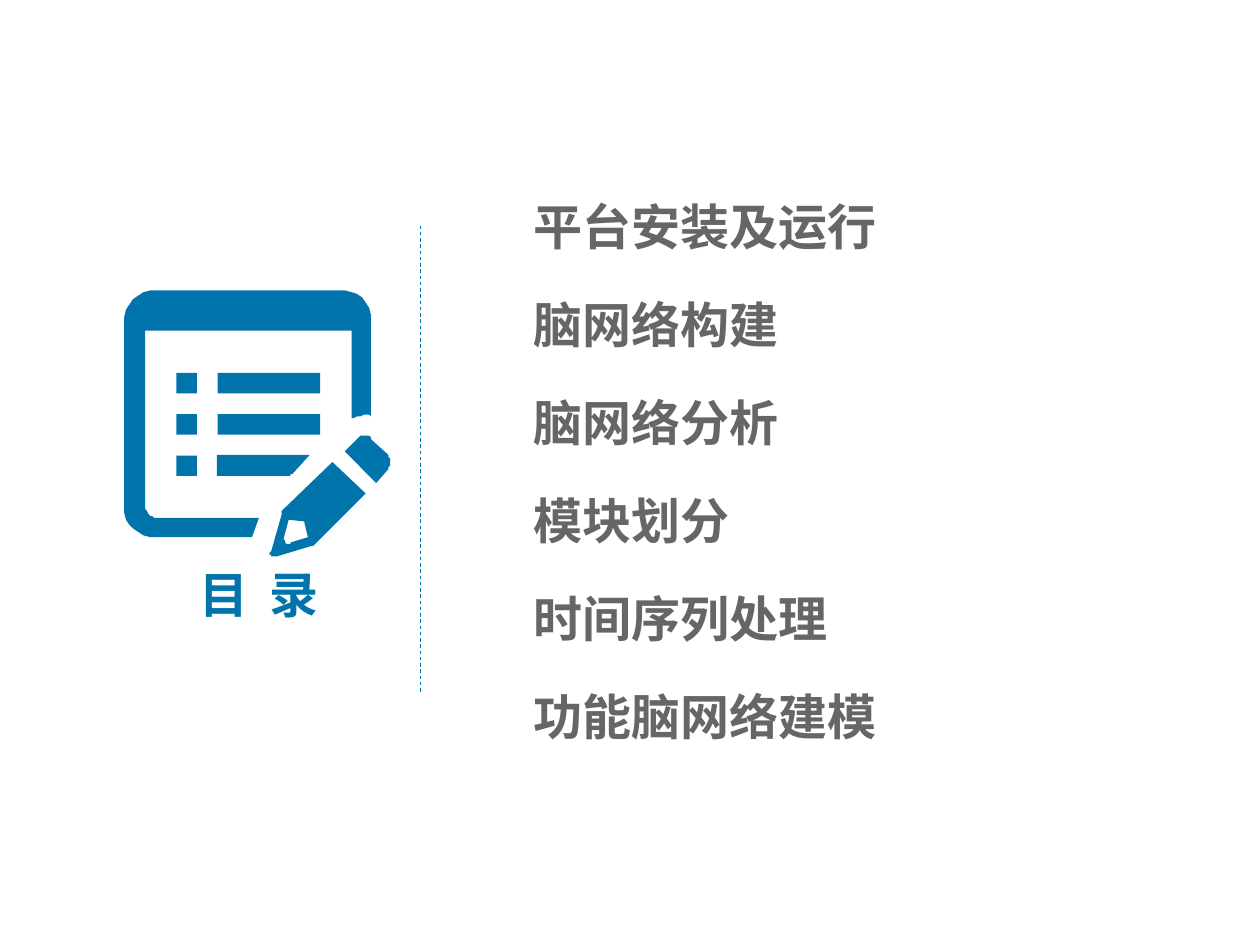
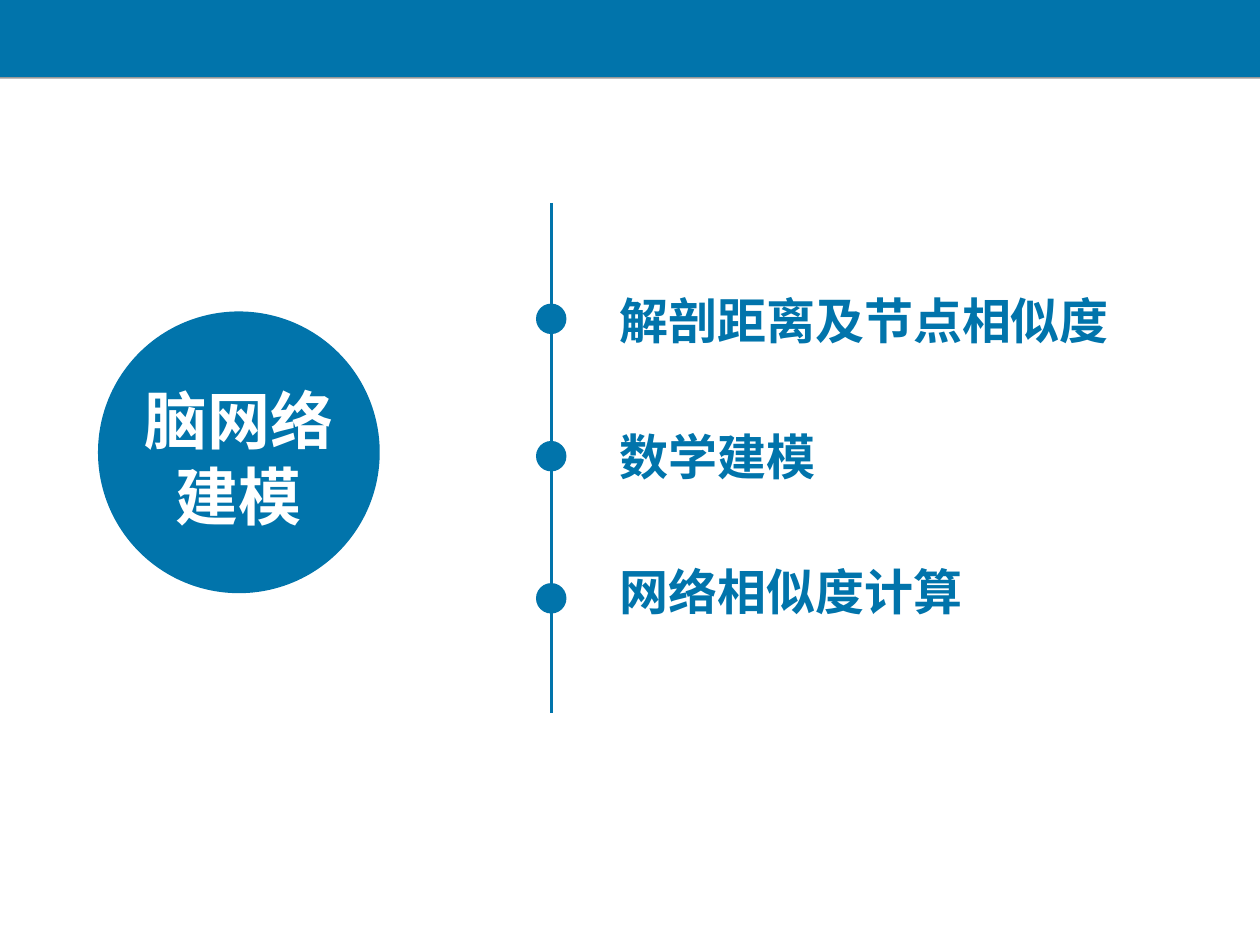
from lxml.etree import SubElement
from pptx import Presentation
from pptx.dml.color import RGBColor
from pptx.enum.dml import MSO_LINE_DASH_STYLE as DASH
from pptx.enum.shapes import MSO_CONNECTOR, MSO_SHAPE
from pptx.enum.text import PP_ALIGN
from pptx.oxml import parse_xml
from pptx.oxml.ns import nsdecls, qn
from pptx.util import Pt

COLORS = {name: RGBColor.from_string(code) for name, code in {
    "blue": "0174AB", "grey": "666666", "white": "FFFFFF"}.items()}
FONT = "Noto Sans CJK SC"
MARGINS = {"margin_left": Pt(7.2), "margin_right": Pt(7.2),
           "margin_top": Pt(3.6), "margin_bottom": Pt(3.6), "word_wrap": True}


def add_label(slide, text, box, color, size=28, align=PP_ALIGN.LEFT, spacing=0):
    """Add bold text in box (left, top, width, height); spacing is between letters."""
    frame = slide.shapes.add_textbox(*map(Pt, box)).text_frame
    for name, value in MARGINS.items():
        setattr(frame, name, value)
    paragraph = frame.paragraphs[0]
    paragraph.alignment = align
    run = paragraph.add_run()
    run.text = text
    run.font.color.rgb = COLORS[color]
    for name, value in {"name": FONT, "size": Pt(size), "bold": True}.items():
        setattr(run.font, name, value)
    properties = run._r.get_or_add_rPr()
    SubElement(properties, qn("a:ea")).set("typeface", FONT)
    if spacing:
        properties.set("spc", str(spacing * 100))


def paint_blue(shape):
    shape.shadow.inherit = False
    shape.fill.solid()
    shape.fill.fore_color.rgb = COLORS["blue"]
    shape.line.fill.background()
    return shape


presentation = Presentation()
presentation.slide_width, presentation.slide_height = Pt(720), Pt(540)
blank = presentation.slide_layouts[6]
contents, section = (presentation.slides.add_slide(blank) for _ in range(2))
timeline = section.shapes.add_group_shape()

# Vertical rules of both slides
for shapes, x, top, bottom, width, dash in (
        (contents.shapes, 240.5, 128.9, 395.3, 0.5, DASH.DASH),
        (timeline.shapes, 315, 116, 407.5, 1.5, DASH.SOLID)):
    rule = shapes.add_connector(MSO_CONNECTOR.STRAIGHT, Pt(x), Pt(top), Pt(x), Pt(bottom))
    rule.line.color.rgb = COLORS["blue"]
    rule.line.width = Pt(width)
    rule.line.dash_style = dash
    SubElement(rule._element.spPr, qn("a:effectLst"))

# Slide 1: table of contents
topics = (("平台安装及运行", 337), ("脑网络构建", 364), ("脑网络分析", 364),
          ("模块划分", 347), ("时间序列处理", 382), ("功能脑网络建模", 301))
for row, (topic, width) in enumerate(topics):
    add_label(contents, topic, (298, 108.7 + 56 * row, width, 41.2), "grey")

# Notepad icon: a pair is a corner, six numbers are a Bézier curve
frame_outline = [
    (147.6, 295.9), (144, 306.7), (143.5, 307.4, 143, 307.4, 142, 307.4),
    (90, 307.4), (79, 307.4, 70.8, 300, 70.8, 289.4),
    (70.8, 185), (70.8, 173.5, 78.5, 165.6, 90, 165.6),
    (193.7, 165.6), (203, 165.6, 212.4, 172, 212.4, 184.3),
    (212.4, 237.6), (208, 236.9, 204.5, 237.6, 200.9, 239),
    (200.9, 189.4), (82.8, 189.4), (82.8, 288), (82.8, 292.3, 85, 295.9, 90, 295.9)]
pencil_outline = [
    (190.1, 264.2), (208.8, 282.2), (180.7, 310.3),
    (180, 311.8, 178.6, 311.8, 177.8, 312.5),
    (158.4, 318.2), (157, 318.2, 156.2, 319, 154.8, 317.5),
    (154, 316.8, 154, 316, 154.8, 314.6), (160.6, 294.5), (161.3, 292.3)]
pencil_tip = [
    (164.9, 296.6), (162, 308.2), (163.4, 311, 164.2, 311, 166.3, 310.3),
    (176.4, 307.4), (174.2, 298.8), (173.5, 298.1)]
eraser_outline = [
    (196.6, 257.8), (204.5, 250.6), (206.6, 248.4, 210.2, 248.4, 212.4, 250.6),
    (221.8, 259.9), (223.9, 262.8, 223.9, 265.7, 221.8, 267.8), (214.6, 275.8)]
last_bar = [
    (124.4, 260.1), (177.1, 260.1), (167, 270.7),
    (166.3, 271.4, 165.6, 271.8, 164.9, 271.8), (124.4, 271.8)]
CURVE_STEPS = 8

icon = contents.shapes.add_group_shape()
for contours in ([frame_outline], [pencil_outline, pencil_tip], [eraser_outline], [last_bar]):
    builder = icon.shapes.build_freeform(*contours[0][0], scale=Pt(1))
    for contour in contours:
        points = [contour[0]]
        for part in contour[1:]:
            if len(part) == 2:
                points.append(part)
                continue
            x0, y0 = points[-1]
            x1, y1, x2, y2, x3, y3 = part
            for step in range(1, CURVE_STEPS + 1):
                t = step / CURVE_STEPS
                weights = (1 - t) ** 3, 3 * t * (1 - t) ** 2, 3 * t * t * (1 - t), t ** 3
                points.append(tuple(sum(w * v for w, v in zip(weights, values))
                                    for values in ((x0, x1, x2, x3), (y0, y1, y2, y3))))
        if contour is not contours[0]:
            builder.move_to(*points[0])
        builder.add_line_segments(points[1:], close=True)
    paint_blue(builder.convert_to_shape())

for row in range(3):
    for left, width in ((100.8, 11.7), (124.4, 58.6))[:1 if row == 2 else 2]:
        paint_blue(icon.shapes.add_shape(
            MSO_SHAPE.RECTANGLE, Pt(left), Pt(213.1 + 23.6 * row), Pt(width), Pt(11.7)))

add_label(contents, "目 录", (43.2, 319, 209.5, 41.2), "blue",
          align=PP_ALIGN.CENTER, spacing=3)

# Slide 2: section opener
band = paint_blue(section.shapes.add_shape(MSO_SHAPE.RECTANGLE, 0, 0, Pt(720), Pt(44)))
band_effects = band._element.spPr.find(qn("a:effectLst"))
band_effects.append(parse_xml(
    f'<a:outerShdw {nsdecls("a")} blurRad="0" dist="12700" dir="5400000" rotWithShape="0">'
    '<a:srgbClr val="000000"><a:alpha val="40000"/></a:srgbClr></a:outerShdw>'))

steps = (("解剖距离及节点相似度", 304.6, 173.5), ("数学建模", 170.6, 252),
         ("网络相似度计算", 244, 333.2))
for row, (step_name, width, dot_top) in enumerate(steps):
    paint_blue(timeline.shapes.add_shape(
        MSO_SHAPE.OVAL, Pt(306.3), Pt(dot_top), Pt(17.4), Pt(17.4)))
    add_label(section, step_name, (347, 162.7 + 77.4 * row, width, 41.2), "blue")

paint_blue(section.shapes.add_shape(MSO_SHAPE.OVAL, Pt(56), Pt(178), Pt(161), Pt(161)))
add_label(section, "脑网络建模", (67, 214.6, 139, 93.6), "white",
          size=36, align=PP_ALIGN.CENTER)

presentation.save("out.pptx")
